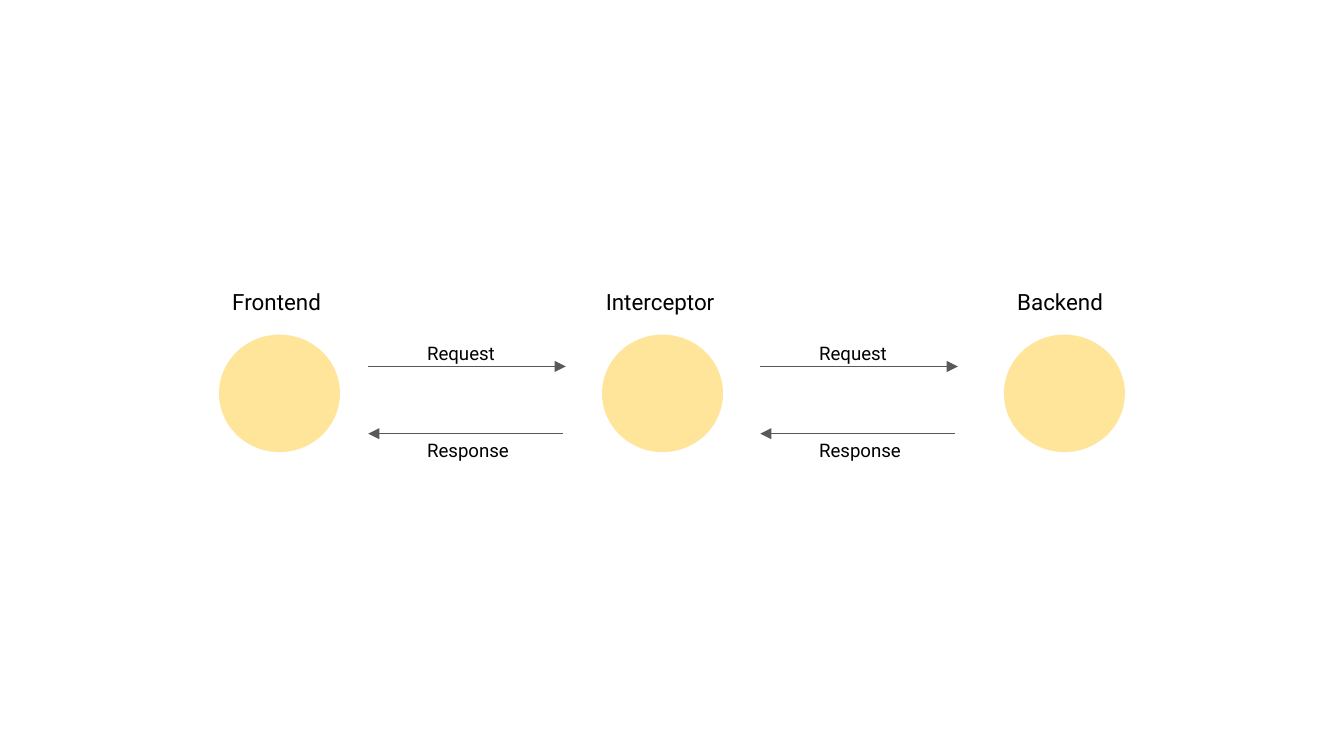
from lxml.etree import SubElement
from pptx import Presentation
from pptx.dml.color import RGBColor
from pptx.enum.shapes import MSO_CONNECTOR, MSO_SHAPE
from pptx.enum.text import MSO_ANCHOR, PP_ALIGN
from pptx.oxml.ns import qn
from pptx.util import Inches, Pt

COLORS = {"node": "FFE599", "arrow": "595959", "text": "000000"}
FONT = "Roboto"
CELL = 0.1  # side of a grid cell in inches


def grid(cells):
    return Inches(cells * CELL)


def write(frame, text, size=12, color="text", align=PP_ALIGN.LEFT):
    frame.word_wrap = True
    frame.vertical_anchor = MSO_ANCHOR.TOP
    frame.margin_left = frame.margin_right = grid(1)
    frame.margin_top = frame.margin_bottom = grid(1)
    paragraph = frame.paragraphs[0]
    paragraph.alignment = align
    run = paragraph.add_run()
    run.text = text
    run.font.name = FONT
    run.font.size = Pt(size)
    run.font.color.rgb = RGBColor.from_string(COLORS[color])


class Diagram:
    """Draws elements on one slide; lengths are grid columns and rows."""

    def __init__(self, slide):
        self.shapes = slide.shapes

    def node(self, col, row, cols, rows):
        circle = self.shapes.add_shape(
            MSO_SHAPE.OVAL, grid(col), grid(row), grid(cols), grid(rows))
        circle.shadow.inherit = False
        circle.fill.solid()
        circle.fill.fore_color.rgb = RGBColor.from_string(COLORS["node"])
        circle.line.fill.background()

    def label(self, text, col, row, cols, rows=4, **style):
        box = self.shapes.add_textbox(
            grid(col), grid(row), grid(cols), grid(rows))
        write(box.text_frame, text, **style)

    def arrow(self, start_col, end_col, row):
        arrow = self.shapes.add_connector(
            MSO_CONNECTOR.STRAIGHT,
            grid(start_col), grid(row), grid(end_col), grid(row))
        arrow.line.color.rgb = RGBColor.from_string(COLORS["arrow"])
        arrow.line.width = Pt(0.75)
        SubElement(arrow.line._get_or_add_ln(), qn("a:tailEnd"),
                   type="triangle", w="med", len="med")
        SubElement(arrow._element.spPr, qn("a:effectLst"))


def main():
    deck = Presentation()
    # Widescreen, 16:9
    deck.slide_width = Inches(10)
    deck.slide_height = deck.slide_width * 9 // 16
    diagram = Diagram(deck.slides.add_slide(deck.slide_layouts[6]))

    # Parties, each label centred over its circle
    node_cols, node_rows = 9, 8.74
    for party, col, label_cols in (("Frontend", 16.3, 9),
                                   ("Interceptor", 44.8, 10.4),
                                   ("Backend", 74.7, 9)):
        diagram.node(col, 24.9, node_cols, node_rows)
        diagram.label(party, col + (node_cols - label_cols) / 2, 20.45, label_cols)

    # Request and response between neighbouring parties
    for col in (27.4, 56.57):
        diagram.arrow(col, col + 14.7, 27.27)
        diagram.arrow(col + 14.5, col, 32.27)
        for message, row in (("Request", 24.6), ("Response", 31.85)):
            diagram.label(message, col + 3.4, row, 9, size=10)

    deck.save("out.pptx")


if __name__ == "__main__":
    main()
